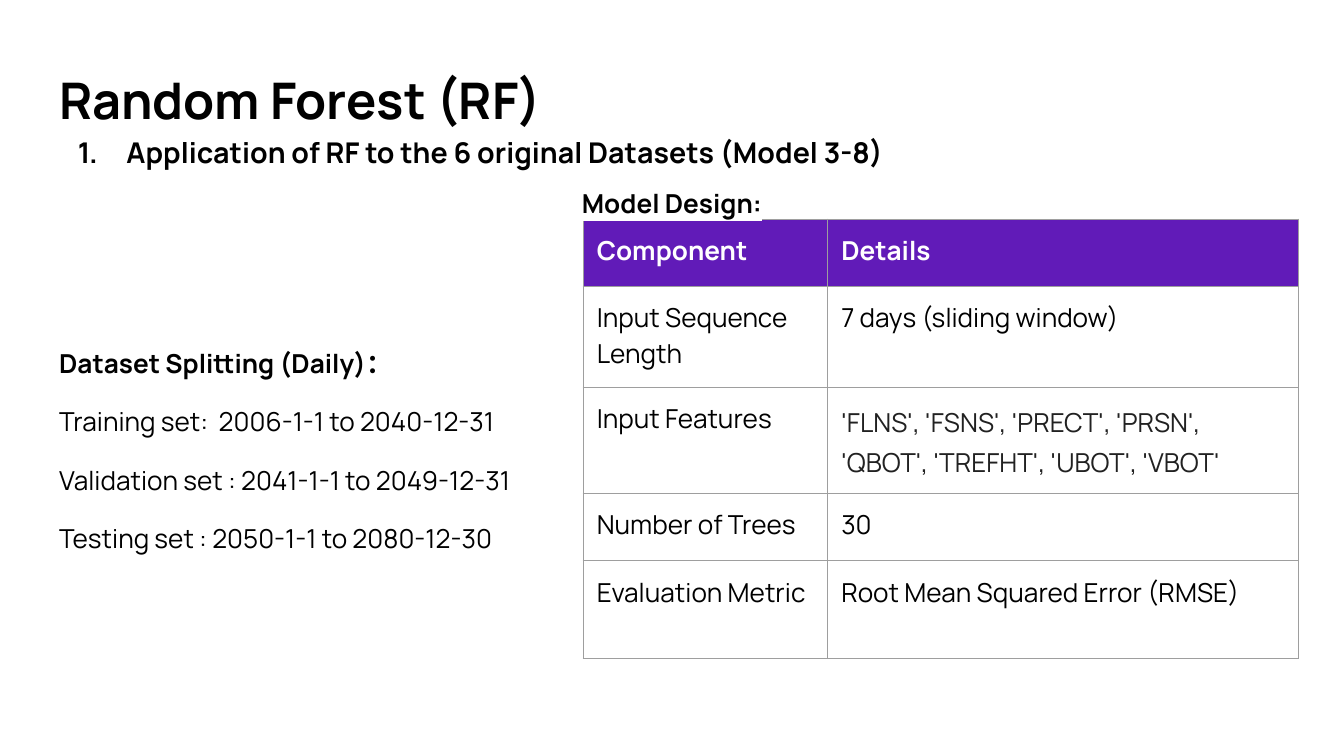
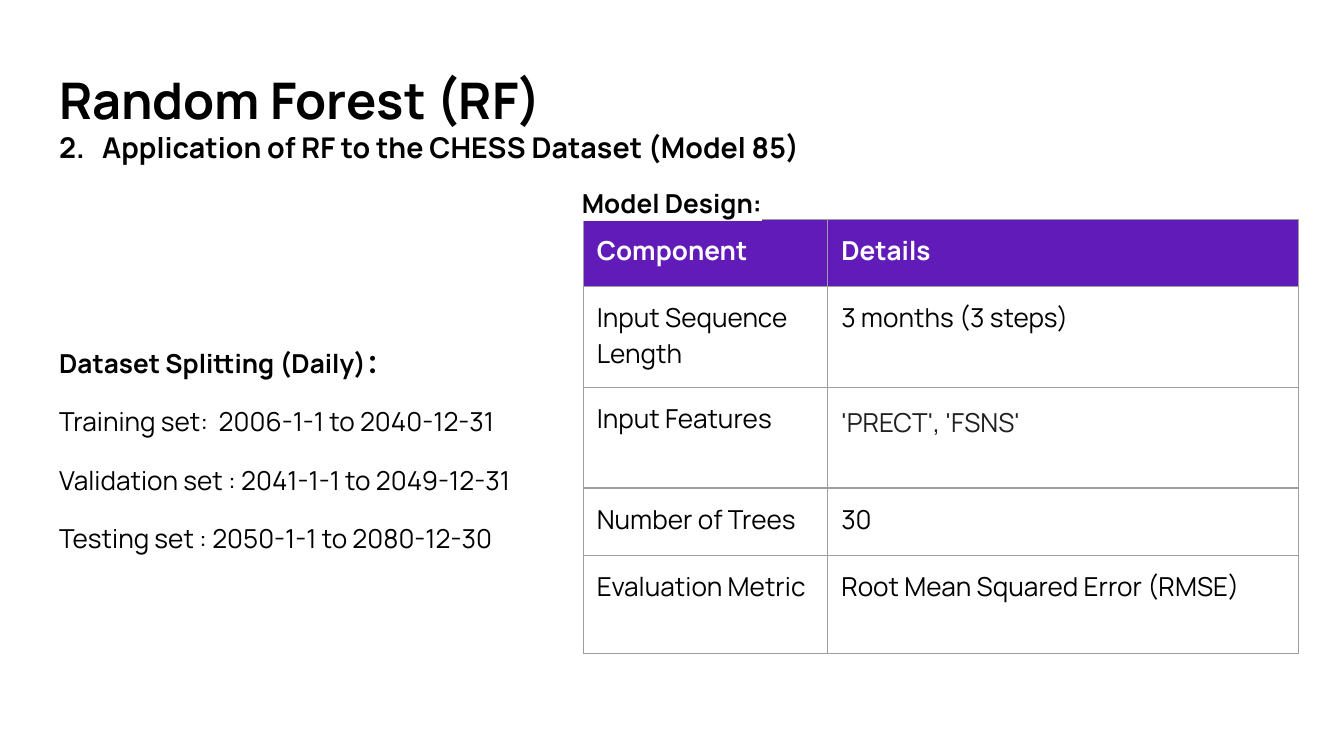
from lxml.etree import SubElement
from pptx import Presentation
from pptx.dml.color import RGBColor as RGB
from pptx.enum.text import MSO_ANCHOR as Anchor, MSO_AUTO_SIZE as Fit, PP_ALIGN as Align
from pptx.oxml import parse_xml
from pptx.oxml.ns import nsdecls, qn
from pptx.util import Pt

BLACK = RGB(0, 0, 0)
WHITE = RGB(255, 255, 255)
PURPLE = RGB(0x61, 0x1B, 0xB8)
GREY = RGB(0x9E, 0x9E, 0x9E)
DARK = RGB(0x21, 0x21, 0x21)
FONT = "Manrope"
PAD = 7.2


def write(frame, text, size=14, bold=False, color=BLACK, lines=1.15, before=0, after=0,
          mark=True, number=None, left=0, hang=0):
    para = frame.add_paragraph() if frame.text else frame.paragraphs[0]
    props = para._p.get_or_add_pPr()
    props.set("marL", str(Pt(left)))
    props.set("indent", str(-Pt(hang)))
    if number:
        SubElement(props, qn("a:buAutoNum"), type="arabicPeriod", startAt=str(number))
    else:
        SubElement(props, qn("a:buNone"))
    para.alignment = Align.LEFT
    para.line_spacing = lines
    para.space_before, para.space_after = Pt(before), Pt(after)
    run = para.add_run()
    run.text = text
    font = run.font
    font.name, font.size, font.bold = FONT, Pt(size), bold
    font.color.rgb = color
    if mark:
        light = parse_xml(f'<a:highlight {nsdecls("a")}><a:srgbClr val="{WHITE}"/></a:highlight>')
        run._r.rPr.find(qn("a:solidFill")).addnext(light)


def place(shape, left, top, width, height):
    shape.left, shape.top, shape.width, shape.height = Pt(left), Pt(top), Pt(width), Pt(height)
    frame = shape.text_frame
    frame.word_wrap = True
    frame.auto_size = Fit.NONE
    frame.vertical_anchor = Anchor.TOP
    frame.margin_left = frame.margin_right = frame.margin_top = frame.margin_bottom = Pt(PAD)
    return frame


SPLITS = [
    "Training set:  2006-1-1 to 2040-12-31",
    "Validation set : 2041-1-1 to 2049-12-31",
    "Testing set : 2050-1-1 to 2080-12-30",
]
PAGES = [
    ("Application of RF to the 6 original Datasets (Model 3-8)",
     dict(number=1, left=36, hang=26), "7 days (sliding window)",
     "'FLNS', 'FSNS', 'PRECT', 'PRSN', 'QBOT', 'TREFHT', 'UBOT', 'VBOT'"),
    ("Application of RF to the CHESS Dataset (Model 85)",
     dict(number=2, left=23, hang=23, lines=1), "3 months (3 steps)",
     "'PRECT', 'FSNS'"),
]
COLS = [131, 252]
ROWS = [36, 54, 54, 36, 52.5]

deck = Presentation()
deck.slide_width, deck.slide_height = Pt(720), Pt(405)

for topic, style, window, inputs in PAGES:
    slide = deck.slides.add_slide(deck.slide_layouts[3])
    title, split, label = slide.placeholders

    frame = place(title, 24.5, 25.2, 695.5 - 24.5, 49)
    write(frame, "Random Forest (RF)", size=27, bold=True, mark=False)
    write(frame, topic, size=15.3, bold=True, **style)

    frame = place(split, 24.5, 176.4, 300, 114)
    write(frame, "Dataset Splitting (Daily)：", bold=True)
    for line in SPLITS:
        write(frame, line, before=12, after=12 if line == SPLITS[-1] else 0)

    cells = [
        ("Component", "Details"),
        ("Input Sequence Length", window),
        ("Input Features", inputs),
        ("Number of Trees", "30"),
        ("Evaluation Metric", "Root Mean Squared Error (RMSE)"),
    ]
    table = slide.shapes.add_table(len(ROWS), len(COLS), Pt(312.5), Pt(117.4),
                                   Pt(sum(COLS)), Pt(sum(ROWS))).table
    table.horz_banding = False
    for col, width in zip(table.columns, COLS):
        col.width = Pt(width)
    for r, (row, height) in enumerate(zip(table.rows, ROWS)):
        row.height = Pt(height)
        for c, cell in enumerate(row.cells):
            cell.margin_left = cell.margin_right = Pt(PAD)
            cell.margin_top = cell.margin_bottom = Pt(PAD)
            props = cell._tc.get_or_add_tcPr()
            for side in "LRTB":
                edge = SubElement(props, qn(f"a:ln{side}"), w=str(Pt(0.75)))
                SubElement(SubElement(edge, qn("a:solidFill")), qn("a:srgbClr"), val=str(GREY))
            if r == 0:
                cell.fill.solid()
                cell.fill.fore_color.rgb = PURPLE
            else:
                cell.fill.background()
            code = cells[r][c] == inputs
            color = WHITE if r == 0 else DARK if code else BLACK
            write(cell.text_frame, cells[r][c], bold=r == 0, color=color,
                  lines=1.11 if code else 1, mark=False)

    frame = place(label, 304.5, 90.7, 206.6, 28)
    write(frame, "Model Design:", bold=True, after=12)
    slide.shapes._spTree.append(label._element)

deck.save("out.pptx")
